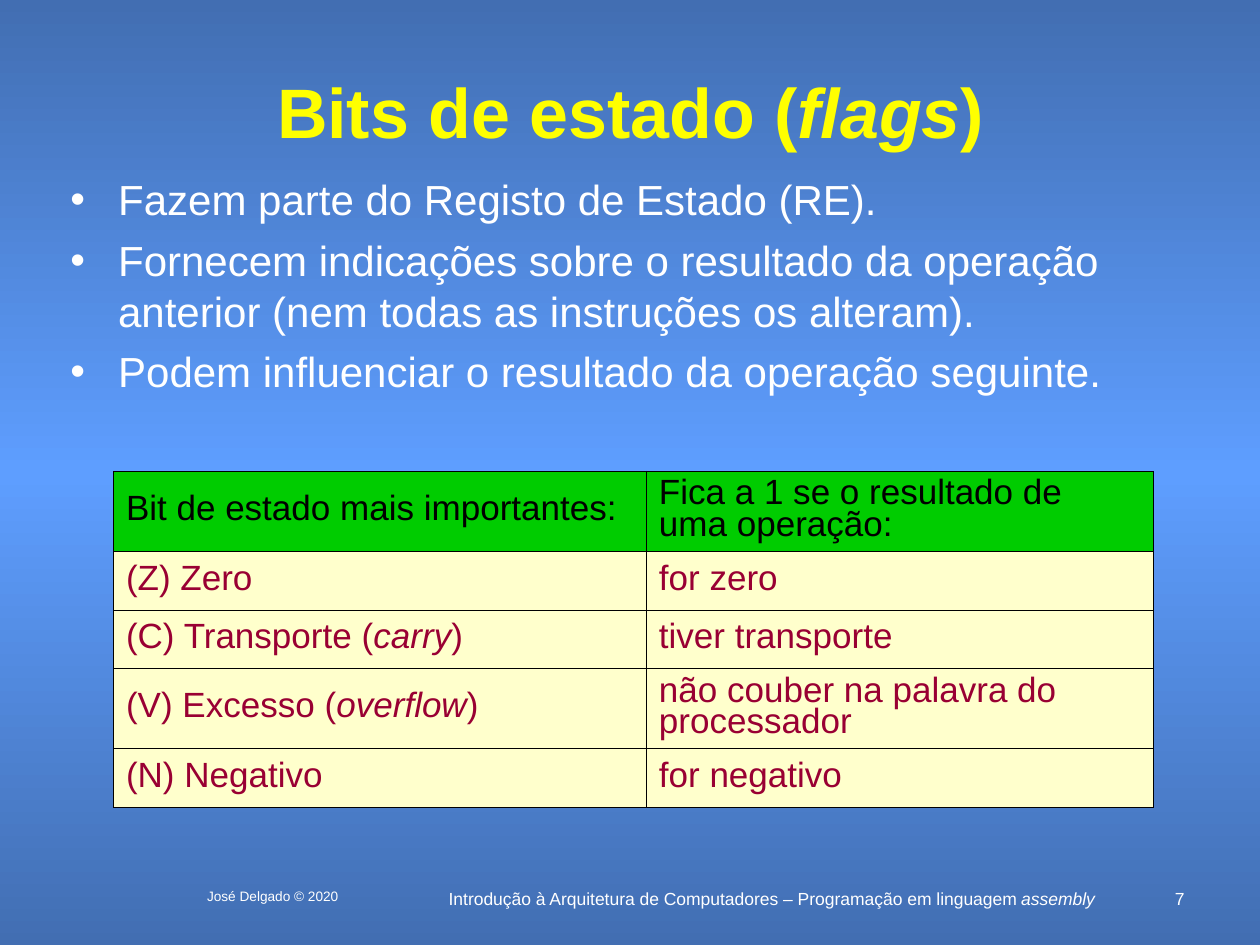
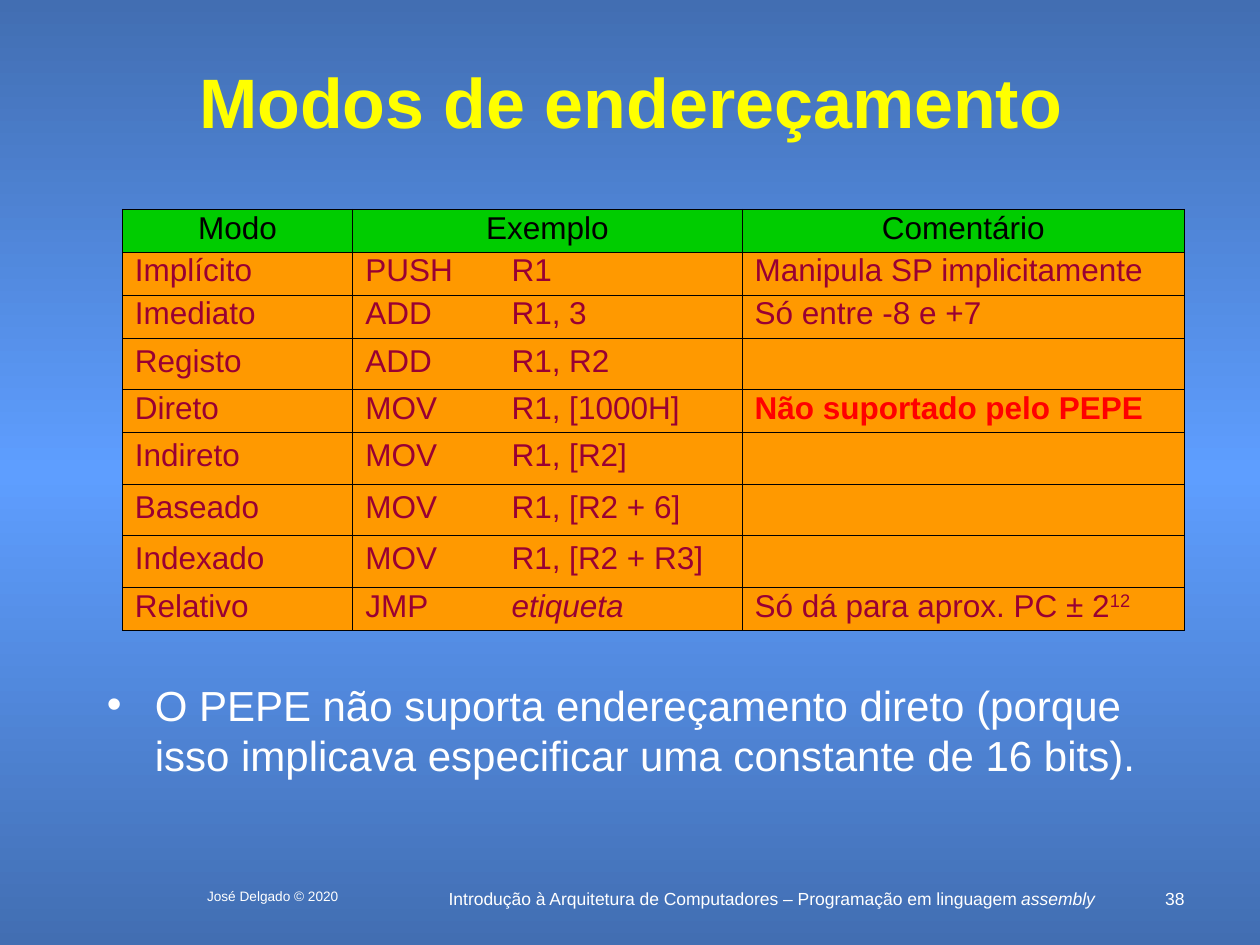
from copy import deepcopy

from lxml.etree import SubElement
from pptx import Presentation
from pptx.dml.color import RGBColor
from pptx.enum.text import MSO_ANCHOR, MSO_AUTO_SIZE, PP_ALIGN
from pptx.oxml.ns import qn
from pptx.util import Inches, Pt

FONT = "Arial"
WHITE, BLACK, YELLOW, RED = "FFFFFF", "000000", "FFFF00", "FF0000"
GREEN, CREAM, ORANGE, WINE = "00CC00", "FFFFCC", "FF9900", "990033"
EDGE_BLUE, MIDDLE_BLUE = "426EB2", "5E9EFF"
FOOTER = "Introdução à Arquitetura de Computadores – Programação em linguagem *assembly*"
COPYRIGHT = "José Delgado © 2020"

FLAG_ROWS = [
    ["Bit de estado mais importantes:", "Fica a 1 se o resultado de uma operação:"],
    ["(Z) Zero", "for zero"],
    ["(C) Transporte (*carry*)", "tiver transporte"],
    ["(V) Excesso (*overflow*)", "não couber na palavra do processador"],
    ["(N) Negativo", "for negativo"],
]
MODE_ROWS = [
    ["Modo", "Exemplo", "", "Comentário"],
    ["Implícito", "PUSH", "R1", "Manipula SP implicitamente"],
    ["Imediato", "ADD", "R1, 3", "Só entre -8 e +7"],
    ["Registo", "ADD", "R1, R2", ""],
    ["Direto", "MOV", "R1, [1000H]", "Não suportado pelo PEPE"],
    ["Indireto", "MOV", "R1, [R2]", ""],
    ["Baseado", "MOV", "R1, [R2 + 6]", ""],
    ["Indexado", "MOV", "R1, [R2 + R3]", ""],
    ["Relativo", "JMP", "*etiqueta*", "Só dá para aprox. PC ± 2"],
]


def color(value):
    return RGBColor.from_string(value)


def format_run(run, size, font_color, bold=False, italic=False):
    run.font.name = FONT
    run.font.size = Pt(size)
    run.font.bold = bold
    run.font.italic = italic
    run.font.color.rgb = color(font_color)


def write(paragraph, text, size, font_color, bold=False, alignment=PP_ALIGN.LEFT):
    paragraph.alignment = alignment
    for index, part in enumerate(text.split("*")):
        if part:
            run = paragraph.add_run()
            run.text = part
            format_run(run, size, font_color, bold, italic=index % 2 == 1)


def set_background(master):
    fill = master.background.fill
    fill.gradient()
    fill.gradient_angle = 90
    stop_list = master.element.find(".//" + qn("a:gsLst"))
    stop_list.append(deepcopy(stop_list[-1]))
    stops = zip(fill.gradient_stops, (0, 0.5, 1), (EDGE_BLUE, MIDDLE_BLUE, EDGE_BLUE))
    for stop, position, stop_color in stops:
        stop.position = position
        stop.color.rgb = color(stop_color)


def add_text_box(slide, left, top, width, height):
    box = slide.shapes.add_textbox(Inches(left), Inches(top), Inches(width), Inches(height))
    box.text_frame.word_wrap = True
    return box.text_frame


def add_label(slide, text, left, width, size, alignment):
    frame = add_text_box(slide, left, 7, width, 0.25)
    write(frame.paragraphs[0], text, size, WHITE, alignment=alignment)


def add_base_slide(presentation, title_text, title_top, number):
    slide = presentation.slides.add_slide(presentation.slide_layouts[5])
    title = slide.shapes.title
    title.left, title.top = Inches(0.67), Inches(title_top)
    title.width, title.height = Inches(8.67), Inches(0.75)
    title.text_frame.auto_size = MSO_AUTO_SIZE.NONE
    title.text_frame.vertical_anchor = MSO_ANCHOR.MIDDLE
    write(title.text_frame.paragraphs[0], title_text, 40, YELLOW, True, PP_ALIGN.CENTER)
    add_label(slide, FOOTER, 3.45, 5.35, 10, PP_ALIGN.CENTER)
    add_label(slide, str(number), 9, 0.5, 10, PP_ALIGN.RIGHT)
    add_label(slide, COPYRIGHT, 1.33, 1.67, 7.8, PP_ALIGN.CENTER)
    return slide


def add_bullets(slide, texts, left, top, width, height):
    frame = add_text_box(slide, left, top, width, height)
    for index, text in enumerate(texts):
        paragraph = frame.add_paragraph() if index else frame.paragraphs[0]
        properties = paragraph._p.get_or_add_pPr()
        properties.set("marL", str(Inches(0.38)))
        properties.set("indent", str(-Inches(0.38)))
        bullet_color = SubElement(properties, qn("a:buClr"))
        SubElement(bullet_color, qn("a:srgbClr"), val=WHITE)
        SubElement(properties, qn("a:buFont"), typeface=FONT)
        SubElement(properties, qn("a:buChar"), char="•")
        paragraph.space_before = Pt(6 if index else 0)
        write(paragraph, text, 24, WHITE)


def set_borders(cell, hidden_side):
    properties = cell._tc.get_or_add_tcPr()
    for side in ("lnL", "lnR", "lnT", "lnB"):
        line = SubElement(properties, qn("a:" + side), w=str(Pt(0.45)))
        if side == hidden_side:
            SubElement(line, qn("a:noFill"))
        else:
            fill = SubElement(line, qn("a:solidFill"))
            SubElement(fill, qn("a:srgbClr"), val=BLACK)


def add_table(slide, rows, left, top, widths, heights, size, body_fill,
              header_alignment=PP_ALIGN.LEFT, joined_columns=None):
    frame = slide.shapes.add_table(len(rows), len(widths), Inches(left), Inches(top),
                                   Inches(sum(widths)), Inches(sum(heights)))
    table = frame.table
    table.first_row = table.horz_banding = False
    for column, width in zip(table.columns, widths):
        column.width = Inches(width)
    for row, height in zip(table.rows, heights):
        row.height = Inches(height)
    hidden_sides = dict(zip(joined_columns or (), ("lnR", "lnL")))
    for row_index, texts in enumerate(rows):
        is_header = row_index == 0
        for column_index, text in enumerate(texts):
            cell = table.cell(row_index, column_index)
            set_borders(cell, None if is_header else hidden_sides.get(column_index))
            cell.fill.solid()
            cell.fill.fore_color.rgb = color(GREEN if is_header else body_fill)
            cell.vertical_anchor = MSO_ANCHOR.MIDDLE
            if text:
                paragraph = cell.text_frame.paragraphs[0]
                paragraph.line_spacing = 0.8
                write(paragraph, text, size, BLACK if is_header else WINE,
                      alignment=header_alignment if is_header else PP_ALIGN.LEFT)
    if joined_columns:
        first, last = joined_columns
        table.cell(0, first).merge(table.cell(0, last))
    return table


def add_flags_slide(presentation):
    slide = add_base_slide(presentation, "Bits de estado (*flags*)", 0.5, 7)
    add_bullets(slide, [
        "Fazem parte do Registo de Estado (RE).",
        "Fornecem indicações sobre o resultado da operação anterior "
        "(nem todas as instruções os alteram).",
        "Podem influenciar o resultado da operação seguinte.",
    ], 0.46, 1.33, 8.87, 2.17)
    add_table(slide, FLAG_ROWS, 0.9, 3.74, [4.23, 4.02],
              [0.63, 0.47, 0.46, 0.63, 0.47], 20, CREAM)


def add_modes_slide(presentation):
    slide = add_base_slide(presentation, "Modos de endereçamento", 0.42, 38)
    heights = [0.34 if row[-1] else 0.41 for row in MODE_ROWS]
    table = add_table(slide, MODE_ROWS, 0.97, 1.66, [1.83, 1.16, 1.93, 3.51], heights,
                      18, ORANGE, PP_ALIGN.CENTER, joined_columns=(1, 2))
    unsupported = table.cell(4, 3).text_frame.paragraphs[0].runs[0]
    format_run(unsupported, 18, RED, bold=True)
    exponent = table.cell(8, 3).text_frame.paragraphs[0].add_run()
    exponent.text = "12"
    format_run(exponent, 18, WINE)
    exponent._r.get_or_add_rPr().set("baseline", "30000")
    add_bullets(slide, [
        "O PEPE não suporta endereçamento direto (porque isso implicava "
        "especificar uma constante de 16 bits).",
    ], 0.75, 5.34, 8.75, 1.08)


def main():
    presentation = Presentation()
    presentation.slide_width, presentation.slide_height = Inches(10), Inches(7.5)
    set_background(presentation.slide_master)
    add_flags_slide(presentation)
    add_modes_slide(presentation)
    presentation.save("out.pptx")


if __name__ == "__main__":
    main()
